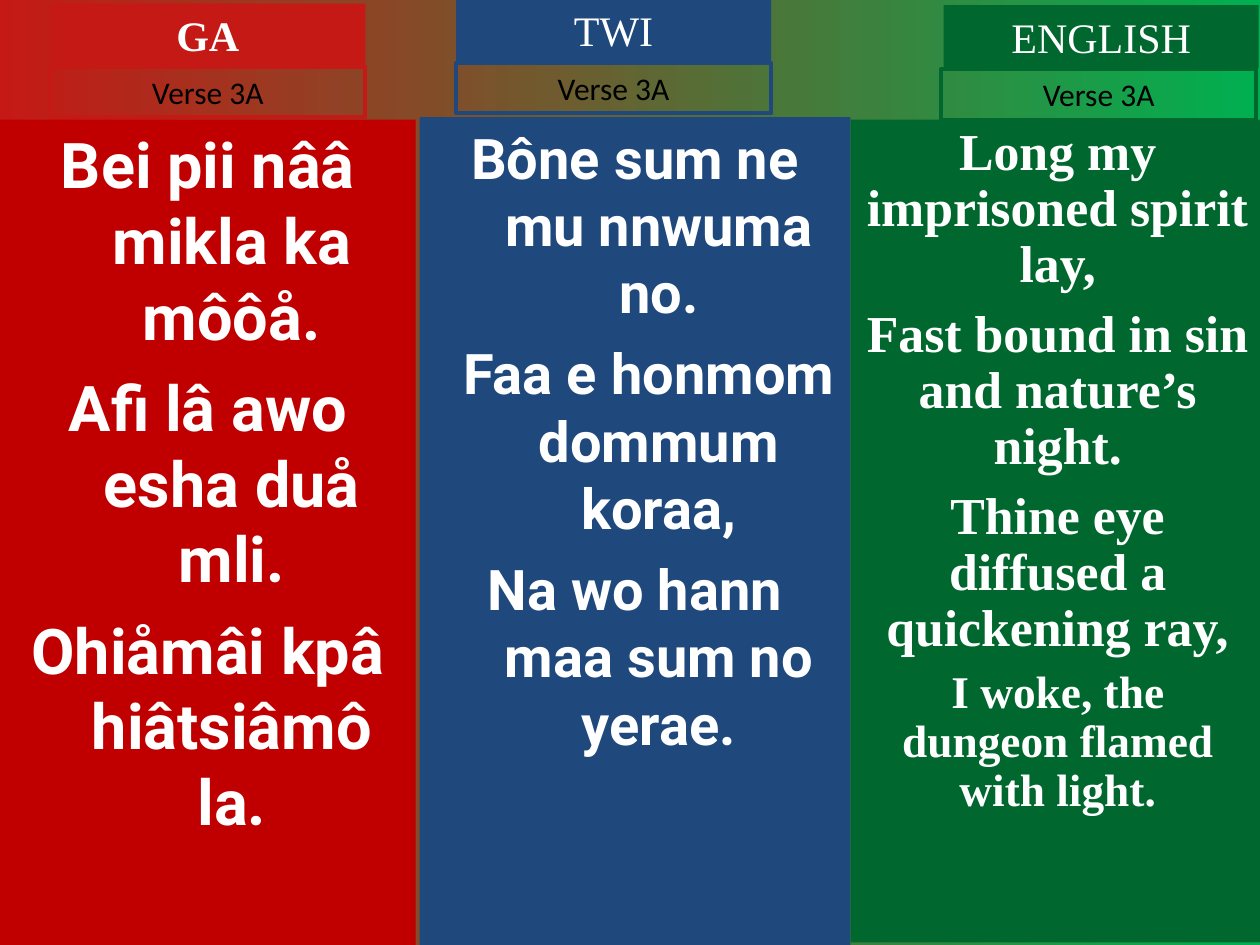
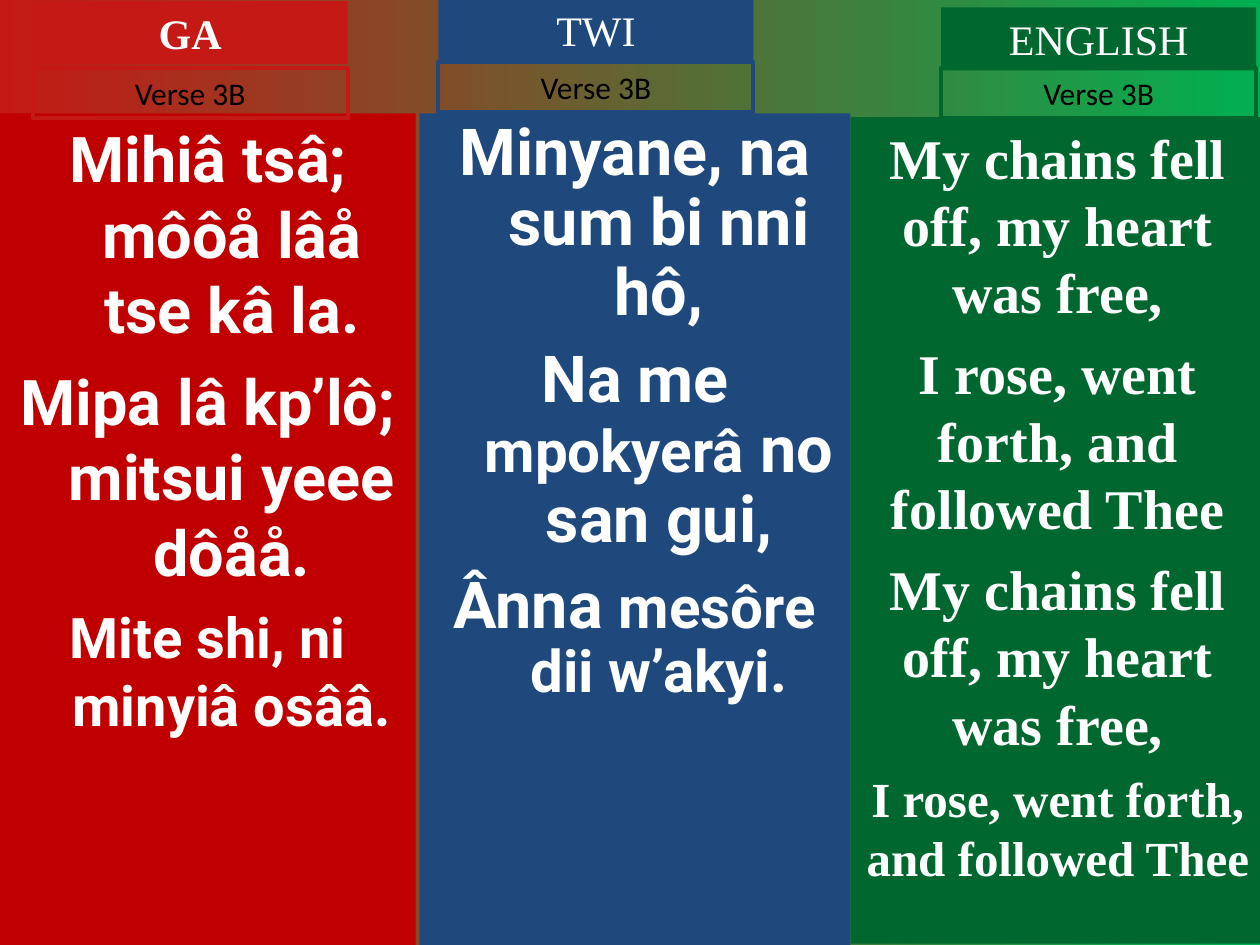
"""Build two hymn slides with a verse in Ga, Twi and English side by side."""
from math import ceil

from pptx import Presentation
from pptx.dml.color import RGBColor
from pptx.enum.shapes import MSO_SHAPE
from pptx.enum.text import MSO_ANCHOR, MSO_AUTO_SIZE, PP_ALIGN
from pptx.util import Inches, Pt

WHITE, BLACK = "FFFFFF", "000000"
RED, GREEN = "C51915", "00B050"
HANGING = 0.38

LANGUAGES = [
    {"name": "GA", "tag": RED, "panel": "C00000", "left": 0, "width": 3.3,
     "font": "Roboto", "hanging": HANGING, "bold_tag": True},
    {"name": "TWI", "tag": "1F497D", "panel": "1F497D", "left": 3.33, "width": 3.42,
     "font": "Roboto", "hanging": HANGING, "bold_tag": False},
    {"name": "ENGLISH", "tag": "00682F", "panel": "00682F", "left": 6.75, "width": 3.29,
     "font": "Times New Roman", "hanging": 0, "bold_tag": False},
]

VERSES = [
    {"label": "Verse 3A", "columns": [
        {"panel": (0.95, 6.55), "tag": (0.4, 0.03), "verse": (0.4, 0.53), "spacing": 1,
         "lines": [[("Bei pii nââ mikla ka môôå.", 36)],
                   [("Afi lâ awo esha duå mli.", 36)],
                   [("Ohiåmâi kpâ hiâtsiâmô la.", 36)]]},
        {"panel": (0.93, 6.57), "tag": (3.62, -0.01), "verse": (3.62, 0.5), "spacing": 1,
         "lines": [[("Bône sum ne mu nnwuma no.", 32)],
                   [("Faa e honmom dommum koraa,", 32)],
                   [("Na wo hann maa sum no yerae.", 32)]],
         "shifts": {1: 0.22}},
        {"panel": (0.95, 6.53), "tag": (7.49, 0.04), "verse": (7.47, 0.55), "spacing": 0.9,
         "lines": [[("Long my imprisoned spirit lay,", 29.6)],
                   [("Fast bound in sin and nature’s night.", 29.6)],
                   [("Thine eye diffused a quickening ray,", 29.6)],
                   [("I woke, the dungeon flamed with light.", 25.9)]]},
    ]},
    {"label": "Verse 3B", "columns": [
        {"panel": (0.9, 6.6), "tag": (0.26, 0.01), "verse": (0.26, 0.54), "spacing": 1,
         "lines": [[("Mihiâ tsâ; môôå lâå tse kâ la.", 36)],
                   [("Mipa lâ kp’lô; mitsui yeee dôåå.", 36)],
                   [("Mite shi, ni minyiâ osââ.", 32)]]},
        {"panel": (0.9, 6.6), "tag": (3.48, -0.01), "verse": (3.48, 0.49), "spacing": 0.9,
         "lines": [[("Minyane, na sum bi nni hô,", 37)],
                   [("Na me ", 37), ("mpokyerâ", 33.3), (" no san gui,", 37)],
                   [("Ânna ", 37), ("mesôre dii w’akyi.", 33.3)]]},
        {"panel": (0.93, 6.56), "tag": (7.47, 0.06), "verse": (7.47, 0.54), "spacing": 1,
         "lines": [[("My chains fell off, my heart was free,", 32)],
                   [("I rose, went forth, and followed Thee", 32)],
                   [("My chains fell off, my heart was free,", 32)],
                   [("I rose, went forth, and followed Thee", 28)]]},
    ]},
]


def color(value):
    return RGBColor.from_string(value)


def set_font(para, name, ink, bold):
    para.alignment = PP_ALIGN.CENTER
    para.font.name = name
    para.font.bold = bold
    para.font.color.rgb = color(ink)


def add_box(page, left, top, width, height, fill=None, line=None):
    box = page.shapes.add_shape(MSO_SHAPE.RECTANGLE, Inches(left), Inches(top),
                                Inches(width), Inches(height))
    box.shadow.inherit = False
    if fill:
        box.fill.solid()
        box.fill.fore_color.rgb = color(fill)
    else:
        box.fill.background()
    if line:
        box.line.color.rgb = color(line)
        box.line.width = Pt(2.25)
    else:
        box.line.fill.background()
    box.text_frame.word_wrap = True
    box.text_frame.vertical_anchor = MSO_ANCHOR.TOP
    return box


def add_label(box, text, size, name, ink, bold=False):
    box.text_frame.auto_size = MSO_AUTO_SIZE.SHAPE_TO_FIT_TEXT
    para = box.text_frame.paragraphs[0]
    para.text = text
    para.font.size = Pt(size)
    set_font(para, name, ink, bold)


def add_lyrics(box, language, column):
    frame = box.text_frame
    for index, spans in enumerate(column["lines"]):
        para = frame.add_paragraph() if index else frame.paragraphs[0]
        if language["hanging"]:
            shift = column.get("shifts", {}).get(index, 0)
            properties = para._p.get_or_add_pPr()
            properties.set("marL", str(Inches(language["hanging"])))
            properties.set("indent", str(Inches(shift - language["hanging"])))
        if index:
            para.space_before = Pt(ceil(spans[-1][1] / 4))
        para.line_spacing = float(column["spacing"])
        for text, size in spans:
            span = para.add_run()
            span.text = text
            span.font.size = Pt(size)
        set_font(para, language["font"], WHITE, True)


def add_column(page, language, column, label):
    top, height = column["panel"]
    panel = add_box(page, language["left"], top, language["width"], height, language["panel"])
    add_lyrics(panel, language, column)
    tag = add_box(page, *column["tag"], 2.5, 0.5, fill=language["tag"])
    add_label(tag, language["name"], 24, "Times New Roman", WHITE, language["bold_tag"])
    verse = add_box(page, *column["verse"], 2.5, 0.4, line=language["tag"])
    add_label(verse, label, 18, "Calibri", BLACK)


def paint_background(page):
    fill = page.background.fill
    fill.gradient()
    fill.gradient_angle = 0
    for stop, position, value in zip(fill.gradient_stops, (0, 1), (RED, GREEN)):
        stop.position = position
        stop.color.rgb = color(value)


def main():
    deck = Presentation()
    deck.slide_width, deck.slide_height = Inches(10), Inches(7.5)
    for verse in VERSES:
        page = deck.slides.add_slide(deck.slide_layouts[6])
        paint_background(page)
        for language, column in zip(LANGUAGES, verse["columns"]):
            add_column(page, language, column, verse["label"])
    deck.save("out.pptx")


if __name__ == "__main__":
    main()
